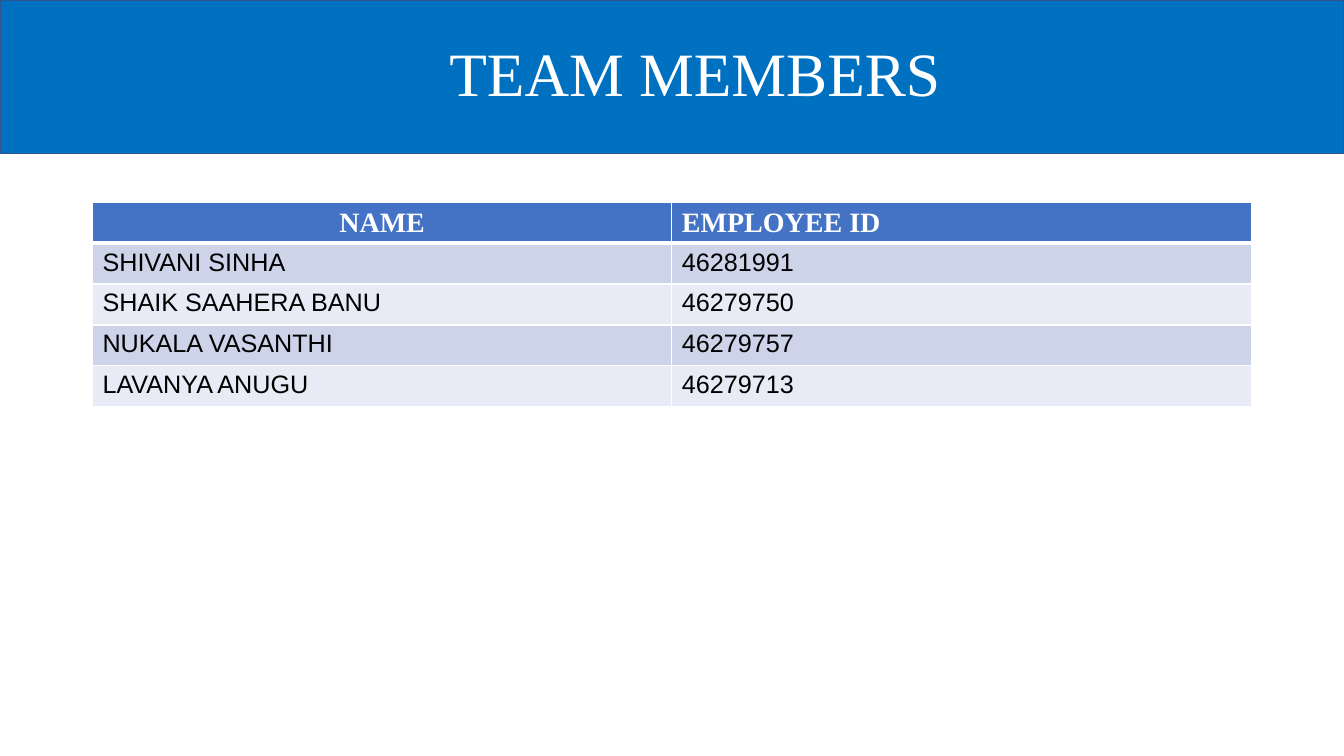
from dataclasses import dataclass
from lxml.etree import SubElement
from pptx import Presentation
from pptx.dml.color import RGBColor
from pptx.enum.shapes import MSO_SHAPE as Shape
from pptx.enum.text import MSO_ANCHOR as Anchor, PP_ALIGN as Align
from pptx.oxml import parse_xml
from pptx.oxml.ns import nsdecls, qn
from pptx.util import Cm, Pt

TITLE = "TEAM MEMBERS"
HEADINGS = ("NAME", "EMPLOYEE ID")
MEMBERS = [
    ("SHIVANI SINHA", "46281991"),
    ("SHAIK SAAHERA BANU", "46279750"),
    ("NUKALA VASANTHI", "46279757"),
    ("LAVANYA ANUGU", "46279713"),
]


@dataclass(frozen=True)
class Theme:
    banner: str = "0070C0"
    banner_line: str = "31538F"
    heading: str = "4472C4"
    bands: tuple = ("CDD4EA", "E8EBF5")
    light: str = "FFFFFF"
    dark: str = "000000"
    serif: str = "Times New Roman"
    sans: str = "Arial"
    title_size: int = 44
    heading_size: int = 20
    body_size: int = 18


THEME = Theme()
SLIDE_WIDTH, SLIDE_HEIGHT = Cm(33.87), Cm(19.05)
BANNER_HEIGHT = Cm(3.87)
TITLE_INDENT = Cm(1.42)
ROSTER_LEFT, ROSTER_TOP = Cm(2.33), Cm(5.09)
COLUMN_WIDTH, ROW_HEIGHT = Cm(14.6), Cm(1.03)


def write(frame, text, *, size, font, color, bold=False, align=Align.LEFT, spacing=1.0):
    paragraph = frame.paragraphs[0]
    paragraph.alignment = align
    paragraph.line_spacing = spacing
    run = paragraph.add_run()
    run.text = text
    run.font.size = Pt(size)
    run.font.name = font
    run.font.bold = bold
    run.font.color.rgb = RGBColor.from_string(color)


def paint(part, color):
    part.fill.solid()
    part.fill.fore_color.rgb = RGBColor.from_string(color)


def add_borders(cell, widths):
    properties = cell._tc.get_or_add_tcPr()
    for position, (side, width) in enumerate(widths.items()):
        border = parse_xml(f'<a:ln{side} {nsdecls("a")} w="{Pt(width)}"/>')
        fill = SubElement(border, qn("a:solidFill"))
        SubElement(fill, qn("a:srgbClr"), val=THEME.light)
        properties.insert(position, border)


def add_banner(slide):
    banner = slide.shapes.add_shape(Shape.RECTANGLE, 0, 0, SLIDE_WIDTH, BANNER_HEIGHT)
    banner.shadow.inherit = False
    paint(banner, THEME.banner)
    banner.line.color.rgb = RGBColor.from_string(THEME.banner_line)
    banner.line.width = Pt(1)
    frame = banner.text_frame
    frame.word_wrap = True
    frame.vertical_anchor = Anchor.MIDDLE
    frame.margin_left = TITLE_INDENT
    write(frame, TITLE, size=THEME.title_size, font=THEME.serif,
          color=THEME.light, align=Align.CENTER, spacing=0.9)


def add_roster(slide):
    entries = [HEADINGS, *MEMBERS]
    roster = slide.shapes.add_table(
        len(entries), len(HEADINGS), ROSTER_LEFT, ROSTER_TOP,
        COLUMN_WIDTH * len(HEADINGS), ROW_HEIGHT * len(entries)).table
    for column in roster.columns:
        column.width = COLUMN_WIDTH
    for row, entry in enumerate(entries):
        roster.rows[row].height = ROW_HEIGHT
        heading = row == 0
        for column, text in enumerate(entry):
            cell = roster.cell(row, column)
            paint(cell, THEME.heading if heading else THEME.bands[(row - 1) % 2])
            add_borders(cell, {"L": 1, "R": 1, "T": 3 if row == 1 else 1,
                               "B": 3 if heading else 1})
            write(cell.text_frame, text, bold=heading,
                  size=THEME.heading_size if heading else THEME.body_size,
                  font=THEME.serif if heading else THEME.sans,
                  color=THEME.light if heading else THEME.dark,
                  align=Align.CENTER if heading and column == 0 else Align.LEFT)


def main():
    deck = Presentation()
    deck.slide_width, deck.slide_height = SLIDE_WIDTH, SLIDE_HEIGHT
    slide = deck.slides.add_slide(deck.slide_layouts[6])
    add_banner(slide)
    add_roster(slide)
    deck.save("out.pptx")


if __name__ == "__main__":
    main()
